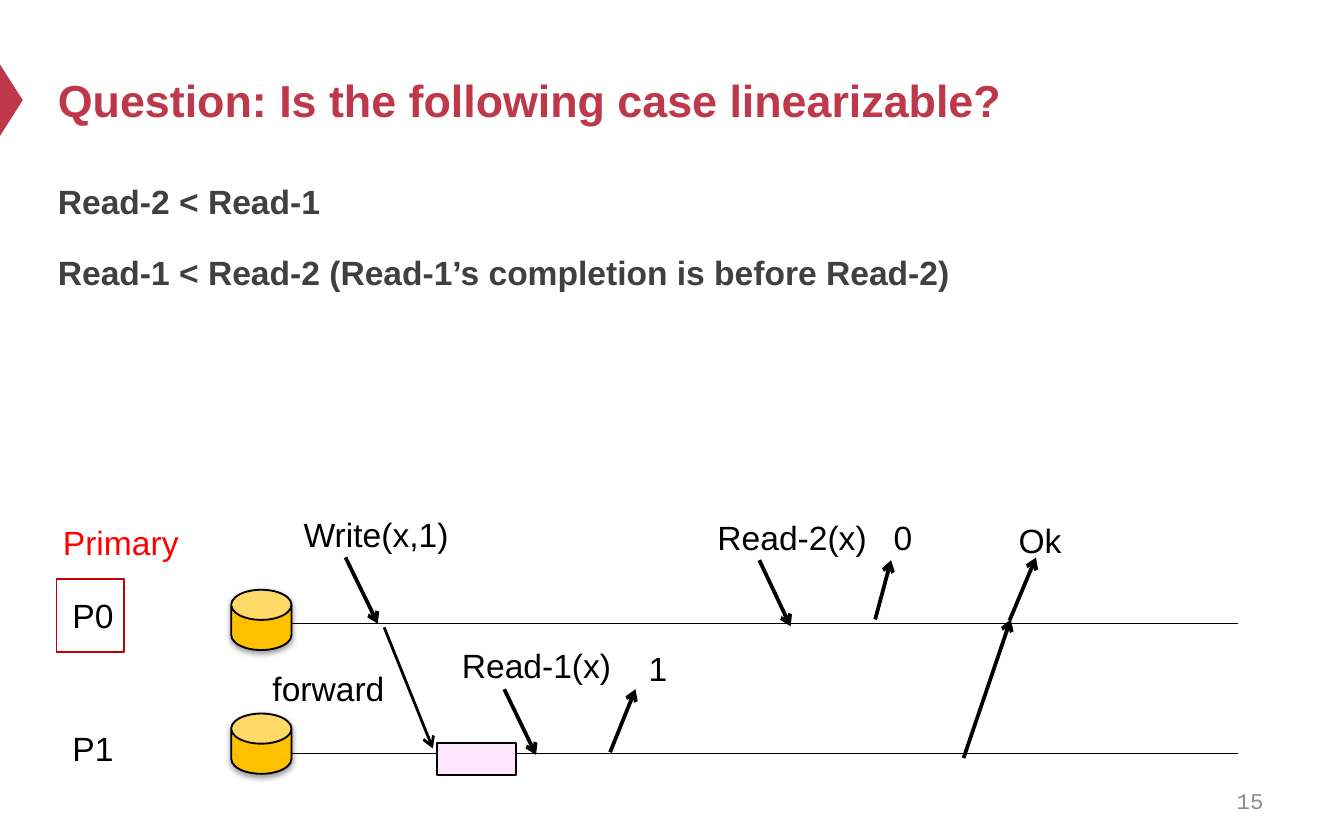
"""Build the slide that asks whether a replicated read/write case is linearizable."""
import pptx
import pptx.dml.color
import pptx.enum.shapes
import pptx.enum.text
import pptx.oxml
import pptx.oxml.ns
import pptx.util
from pptx.enum.shapes import MSO_CONNECTOR, MSO_SHAPE
from pptx.enum.text import MSO_ANCHOR, MSO_AUTO_SIZE, PP_ALIGN
from pptx.util import Cm

BLACK, ACCENT, BODY_GREY, NUMBER_GREY = "000000", "BE384B", "404040", "8C8C8C"
RED, FRAME_RED, GOLD, PINK = "FF0000", "C00000", "FFC000", "FFE6FE"
P0_LINE, P1_LINE = 11.79, 14.25


def color(value):
    return pptx.dml.color.RGBColor.from_string(value)


def add_element(parent, xml):
    namespace = pptx.oxml.ns.nsdecls("a")
    parent.append(pptx.oxml.parse_xml(xml.replace("/>", f" {namespace}/>", 1)
                                      if xml.endswith("/>") and xml.count("<") == 1
                                      else xml.replace(">", f" {namespace}>", 1)))


class Diagram:
    """Hold the text style and the slide, and draw each kind of element."""

    font_name = "Arial"
    font_size = 18

    def __init__(self, slide):
        self.slide = slide

    def place(self, shape, left, top, width, height):
        shape.left, shape.top = Cm(left), Cm(top)
        shape.width, shape.height = Cm(width), Cm(height)

    def format_text(self, paragraph, value, size=None, bold=False, name=None):
        for run in paragraph.runs:
            run.font.name = name or self.font_name
            run.font.size = pptx.util.Pt(size or self.font_size)
            run.font.bold = bold
            run.font.color.rgb = color(value)

    def title(self, text):
        shape = self.slide.shapes.title
        self.place(shape, 0.84, 0.64, 22.86, 2.49)
        frame = shape.text_frame
        frame.text = text
        frame.auto_size = MSO_AUTO_SIZE.NONE
        frame.vertical_anchor = MSO_ANCHOR.MIDDLE
        frame.paragraphs[0].alignment = PP_ALIGN.LEFT
        self.format_text(frame.paragraphs[0], ACCENT, 24, True)

    def body(self, lines):
        shape = self.slide.placeholders[1]
        self.place(shape, 0.84, 3.15, 22.86, 5.21)
        frame = shape.text_frame
        frame.text = "\n".join(lines)
        frame.auto_size = MSO_AUTO_SIZE.NONE
        for index, paragraph in enumerate(frame.paragraphs):
            properties = paragraph._p.get_or_add_pPr()
            properties.set("marL", "0")
            properties.set("indent", "0")
            add_element(properties, "<a:buNone/>")
            paragraph.line_spacing = 1.2
            paragraph.space_before = pptx.util.Pt(12 if index else 0)
            self.format_text(paragraph, BODY_GREY, bold=True)

    def label(self, text, left, top, width=4.45, value=BLACK):
        box = self.slide.shapes.add_textbox(Cm(left), Cm(top), Cm(width), Cm(1.02))
        box.text_frame.word_wrap = True
        box.text_frame.text = text
        self.format_text(box.text_frame.paragraphs[0], value)
        return box

    def page_number(self, text):
        box = self.label(text, 18.21, 14.71, 5.92)
        box.height = Cm(0.84)
        box.text_frame.vertical_anchor = MSO_ANCHOR.MIDDLE
        paragraph = box.text_frame.paragraphs[0]
        paragraph.alignment = PP_ALIGN.RIGHT
        self.format_text(paragraph, NUMBER_GREY, 12, name="Courier New")

    def shape(self, kind, left, top, width, height, fill=None, line=None):
        shape = self.slide.shapes.add_shape(kind, Cm(left), Cm(top), Cm(width), Cm(height))
        shape.shadow.inherit = False
        if fill:
            shape.fill.solid()
            shape.fill.fore_color.rgb = color(fill)
        else:
            shape.fill.background()
        if line:
            shape.line.color.rgb = color(line)
            shape.line.width = pptx.util.Pt(1)
        else:
            shape.line.fill.background()
        return shape

    def storage(self, top):
        can = self.shape(MSO_SHAPE.CAN, 4.37, top, 1.14, 1.14, GOLD, BLACK)
        can.adjustments[0] = 0.5
        effects = can._element.spPr.find(pptx.oxml.ns.qn("a:effectLst"))
        add_element(effects, '<a:outerShdw blurRad="39370" dist="20320" dir="5400000" '
                             'rotWithShape="0"><a:srgbClr val="000000">'
                             '<a:alpha val="38000"/></a:srgbClr></a:outerShdw>')

    def line(self, start, end, width=2, arrow=True):
        points = [Cm(value) for value in (*start, *end)]
        connector = self.slide.shapes.add_connector(MSO_CONNECTOR.STRAIGHT, *points)
        connector.line.color.rgb = color(BLACK)
        connector.line.width = pptx.util.Pt(width)
        if arrow:
            add_element(connector.line._get_or_add_ln(), '<a:tailEnd type="arrow"/>')
        add_element(connector._element.spPr, "<a:effectLst/>")


def main():
    presentation = pptx.Presentation()
    presentation.slide_width, presentation.slide_height = Cm(25.4), Cm(15.88)
    slide = presentation.slides.add_slide(presentation.slide_layouts[1])
    diagram = Diagram(slide)

    marker = diagram.shape(MSO_SHAPE.ISOSCELES_TRIANGLE, -0.46, 1.68, 1.35, 0.43, ACCENT)
    marker.rotation = 90
    diagram.title("Question: Is the following case linearizable?")
    diagram.body(["Read-2 < Read-1",
                  "Read-1 < Read-2 (Read-1’s completion is before Read-2)"])
    diagram.page_number("15")

    for name, line_top, label_top, can_top in (("P0", P0_LINE, 11.13, 11.15),
                                               ("P1", P1_LINE, 13.64, 13.49)):
        diagram.line((4.57, line_top), (23.39, line_top), 0.75, arrow=False)
        diagram.label(name, 1.12, label_top, 1.8)
        diagram.storage(can_top)

    diagram.shape(MSO_SHAPE.RECTANGLE, 1.07, 10.95, 1.27, 1.37, line=FRAME_RED)
    diagram.label("Primary", 0.94, 9.75, value=RED)
    diagram.shape(MSO_SHAPE.RECTANGLE, 8.26, 14.05, 1.5, 0.61, PINK, BLACK)

    for text, left, top in (("Write(x,1)", 5.49, 9.6), ("forward", 4.9, 12.5),
                            ("Read-1(x)", 8.48, 12.07), ("1", 12.01, 12.12),
                            ("Read-2(x)", 13.31, 9.65), ("0", 16.64, 9.65),
                            ("Ok", 19, 9.7)):
        diagram.label(text, left, top)

    diagram.line((7.26, 11.86), (8.18, 14.15), 1.5)
    for start, end in (((6.53, 10.54), (7.14, P0_LINE)),
                       ((9.53, 13.03), (10.13, 14.27)),
                       ((11.53, 14.22), (12.01, 13.03)),
                       ((18.21, 14.33), (19.1, 11.71)),
                       ((14.35, 10.59), (14.94, 11.84)),
                       ((16.54, 11.71), (16.84, 10.59)),
                       ((19.08, 11.73), (19.58, 10.54))):
        diagram.line(start, end)

    presentation.save("out.pptx")


if __name__ == "__main__":
    main()
